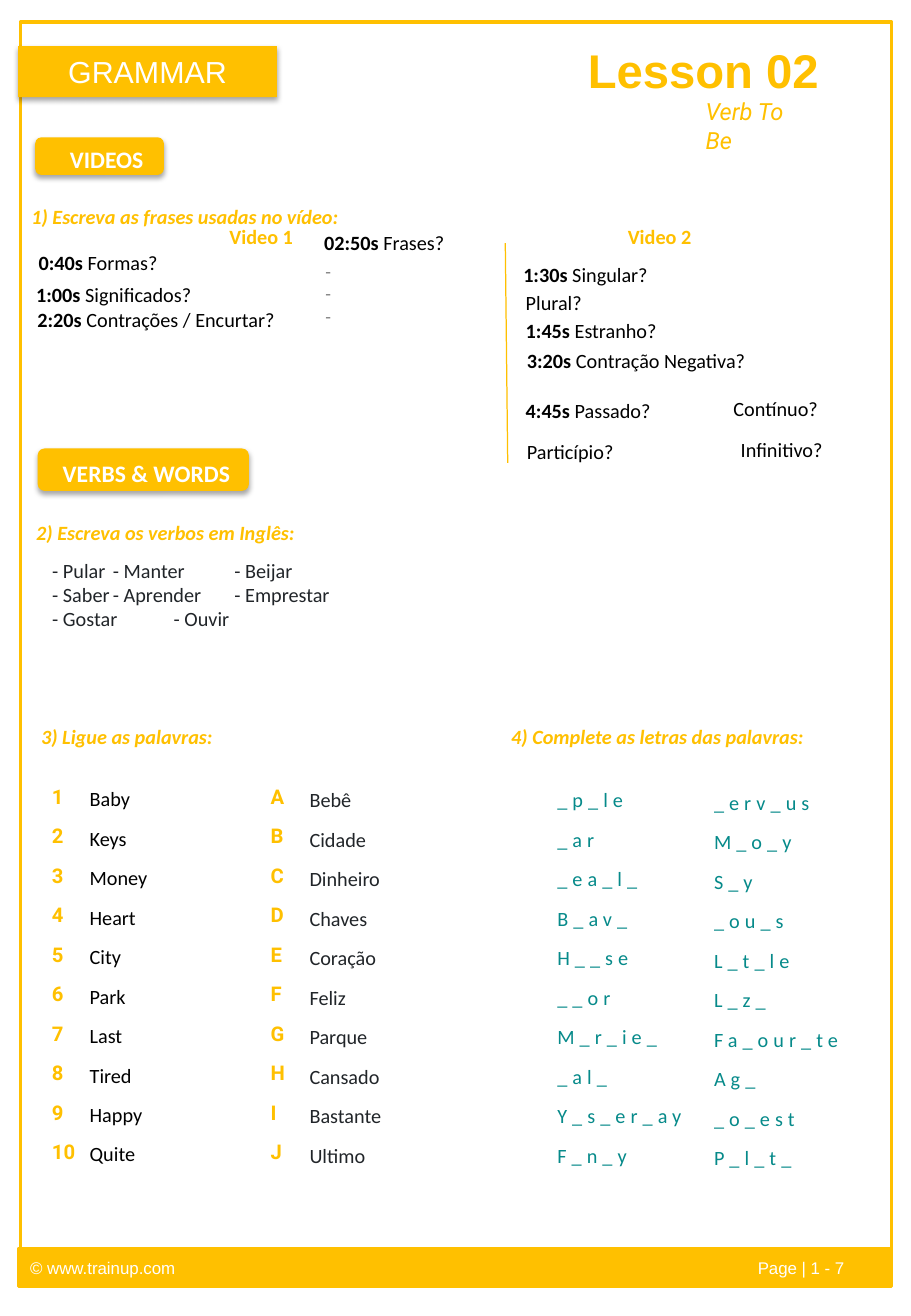
from dataclasses import dataclass, replace

from lxml.etree import SubElement
from pptx import Presentation
from pptx.dml.color import RGBColor
from pptx.enum.shapes import MSO_CONNECTOR as Connector, MSO_SHAPE as Shape
from pptx.enum.text import MSO_ANCHOR as Anchor, MSO_AUTO_SIZE as AutoSize, PP_ALIGN as Align
from pptx.oxml.ns import qn
from pptx.util import Inches, Pt


@dataclass(frozen=True)
class Style:
    font: str
    size: int
    colour: str
    bold: bool = False
    italic: bool = False
    tracking: int = 0


@dataclass(frozen=True)
class Theme:
    amber = "FFC000"
    title = Style("Arial", 28, amber, bold=True)
    subtitle = Style("Roboto", 14, amber, italic=True)
    banner = Style("Arial", 18, "FFFFFF")
    badge = Style("Calibri", 14, "FFFFFF", bold=True)
    exercise = Style("Calibri", 12, amber, bold=True, italic=True)
    video = Style("Calibri", 12, amber, bold=True)
    prompt = Style("Calibri", 12, "000000")
    dash = Style("Calibri", 11, "808080")
    word = Style("Calibri", 12, "212529")
    key = Style("Roboto", 12, amber, bold=True)
    gap = Style("Calibri", 12, "068A8A", tracking=3)
    footer = Style("Arial", 10, "FFFFFF")


@dataclass(frozen=True)
class Box:
    left: float
    top: float
    width: float
    height: float

    def inner(self, left, top, width, height):
        return Box(self.left + left, self.top + top, width, height)

    def lengths(self):
        return [Inches(n) for n in (self.left, self.top, self.width, self.height)]


THEME = Theme()


def colour(value):
    return RGBColor.from_string(value)


def format_run(run, style):
    font = run.font
    font.name, font.size = style.font, Pt(style.size)
    font.bold, font.italic = style.bold, style.italic
    font.color.rgb = colour(style.colour)
    if style.tracking:
        run._r.get_or_add_rPr().set("spc", str(style.tracking * 100))


def write(holder, lines, style, tabs=(), align=Align.LEFT, anchor=Anchor.TOP, spaced=False):
    frame = holder.text_frame
    frame.text = "\n".join(lines)
    frame.word_wrap, frame.auto_size = True, AutoSize.NONE
    frame.vertical_anchor = anchor
    for paragraph in frame.paragraphs:
        properties = paragraph._p.get_or_add_pPr()
        if tabs:
            stops = SubElement(properties, qn("a:tabLst"))
            for stop in tabs:
                SubElement(stops, qn("a:tab"), pos=str(Inches(stop)), algn="l")
        paragraph.alignment = align
        if spaced:
            paragraph.line_spacing, paragraph.space_after = 1.07, Pt(8)
        for run in paragraph.runs:
            format_run(run, style)
    return frame


def add_text(slide, box, lines, style, **options):
    return write(slide.shapes.add_textbox(*box.lengths()), lines, style, **options)


def add_panel(slide, box, kind=Shape.RECTANGLE, shadow=False):
    panel = slide.shapes.add_shape(kind, *box.lengths())
    panel.fill.solid()
    panel.fill.fore_color.rgb = colour(THEME.amber)
    panel.line.fill.background()
    panel.shadow.inherit = False
    if shadow:
        effects = panel._element.spPr.find(qn("a:effectLst"))
        outer = SubElement(effects, qn("a:outerShdw"), blurRad=str(Pt(3.1)), dist=str(Pt(1.8)),
                           dir="5400000", algn="t", rotWithShape="0")
        black = SubElement(outer, qn("a:srgbClr"), val="000000")
        SubElement(black, qn("a:alpha"), val="35000")
    return panel


def outline(shape):
    shape.line.color.rgb = colour(THEME.amber)
    shape.line.width = Pt(2)


def add_badge(slide, box, label, inset):
    badge = add_panel(slide, box, Shape.ROUNDED_RECTANGLE, shadow=True)
    frame = write(badge, [label], THEME.badge, anchor=Anchor.MIDDLE)
    frame.margin_left, frame.margin_right = Inches(inset), 0
    frame.margin_top, frame.margin_bottom = Inches(0.05), 0


def page_frame(slide, box):
    border = add_panel(slide, box)
    border.fill.background()
    outline(border)


def header(slide, box):
    banner = add_panel(slide, box.inner(0, 0.09, 2.13, 0.42), shadow=True)
    write(banner, ["GRAMMAR"], THEME.banner, align=Align.CENTER, anchor=Anchor.MIDDLE)
    title = slide.shapes.title
    title.left, title.top, title.width, title.height = box.inner(4.59, 0, 2.23, 0.57).lengths()
    write(title, ["Lesson 02"], THEME.title)
    add_text(slide, box.inner(5.56, 0.46, 1.05, 0.55), ["Verb To Be"], THEME.subtitle)


def videos(slide, box):
    add_badge(slide, box.inner(0.13, 0, 1.06, 0.31), "VIDEOS", 0.27)
    add_text(slide, box.inner(0, 0.5, 6.3, 0.3), ["1) Escreva as frases usadas no vídeo:"], THEME.exercise)
    for name, left in (("Video 1", 1.63), ("Video 2", 4.91)):
        add_text(slide, box.inner(left, 0.67, 0.8, 0.3), [name], THEME.video)

    # Time marks and questions: left, top, width, time, question
    prompts = [
        (0.06, 0.88, 1.3, "0:40s", " Formas?"),
        (0.04, 1.14, 1.6, "1:00s", " Significados?"),
        (0.05, 1.35, 2.3, "2:20s", " Contrações / Encurtar?"),
        (2.41, 0.72, 1.3, "02:50s", " Frases?"),
        (4.05, 0.98, 1.4, "1:30s", " Singular?"),
        (4.07, 1.21, 0.8, "", "Plural?"),
        (4.07, 1.44, 1.4, "1:45s", " Estranho?"),
        (4.08, 1.69, 2.2, "3:20s", " Contração Negativa?"),
        (4.07, 2.1, 1.4, "4:45s", " Passado?"),
        (4.08, 2.44, 1.1, "", "Particípio?"),
        (5.78, 2.08, 1.1, "", "Contínuo?"),
        (5.84, 2.42, 1.1, "", "Infinitivo?"),
    ]
    for left, top, width, time, question in prompts:
        frame = add_text(slide, box.inner(left, top, width, 0.3), [time or question], THEME.prompt)
        if time:
            format_run(frame.paragraphs[0].runs[0], replace(THEME.prompt, bold=True))
            run = frame.paragraphs[0].add_run()
            run.text = question
            format_run(run, THEME.prompt)
    add_text(slide, box.inner(2.42, 0.96, 0.28, 0.66), ["-"] * 3, THEME.dash)

    # Divider between the two videos
    x, y = box.left + 4, box.top + 0.87
    divider = slide.shapes.add_connector(
        Connector.STRAIGHT, Inches(x), Inches(y), Inches(x + 0.02), Inches(y + 1.81))
    divider.line.color.rgb = colour(THEME.amber)
    divider.line.width = Pt(0.75)
    SubElement(divider._element.spPr, qn("a:effectLst"))


def verbs(slide, box):
    add_badge(slide, box.inner(0.11, 0, 1.74, 0.35), "VERBS & WORDS", 0.19)
    add_text(slide, box.inner(0, 0.54, 6.3, 0.3), ["2) Escreva os verbos em Inglês:"], THEME.exercise)
    rows = [("- Pular", "- Manter", "- Beijar"),
            ("- Saber", "- Aprender", "- Emprestar"),
            ("- Gostar", "- Ouvir")]
    body = slide.placeholders[1]
    body.left, body.top, body.width, body.height = box.inner(0.13, 0.85, 6.3, 0.71).lengths()
    frame = write(body, ["\t".join(row) for row in rows], THEME.word, tabs=(2.37, 4.48))
    for paragraph in frame.paragraphs:
        paragraph.space_before = Pt(0)
        properties = paragraph._p.pPr
        properties.set("marL", "0")
        properties.set("indent", "0")
        properties.find(qn("a:tabLst")).addprevious(SubElement(properties, qn("a:buNone")))


def words(slide, box):
    headings = ["3) Ligue as palavras:", "4) Complete as letras das palavras:"]
    add_text(slide, box.inner(0, 0, 7.02, 0.3), ["\t".join(headings)], THEME.exercise, tabs=(3.87,))

    # Columns: left, top, width, style, entries
    columns = [
        (0.09, 0.48, 0.56, THEME.key, "1 2 3 4 5 6 7 8 9 10"),
        (0.4, 0.5, 1.06, THEME.prompt, "Baby Keys Money Heart City Park Last Tired Happy Quite"),
        (1.89, 0.48, 0.41, THEME.key, "A B C D E F G H I J"),
        (2.21, 0.51, 1.01, THEME.word,
         "Bebê Cidade Dinheiro Chaves Coração Feliz Parque Cansado Bastante Ultimo"),
        (4.25, 0.51, 1.42, THEME.gap, "_p_le _ar _ea_l_ B_av_ H__se __or M_r_ie_ _al_ Y_s_er_ay F_n_y"),
        (5.54, 0.53, 1.42, THEME.gap, "_erv_us M_o_y S_y _ou_s L_t_le L_z_ Fa_our_te Ag_ _o_est P_l_t_"),
    ]
    for left, top, width, style, entries in columns:
        add_text(slide, box.inner(left, top, width, 3.4), entries.split(), style, spaced=True)


def footer(slide, box):
    bar = add_panel(slide, box)
    outline(bar)
    write(bar, ["© www.trainup.com\tPage | 1 - 7"], THEME.footer, tabs=(5.99,), anchor=Anchor.MIDDLE)


def main():
    deck = Presentation()
    deck.slide_width, deck.slide_height = Inches(7.5), Inches(10.83)
    slide = deck.slides.add_slide(deck.slide_layouts[1])
    footer(slide, Box(0.15, 10.28, 7.19, 0.31))
    page_frame(slide, Box(0.17, 0.18, 7.17, 10.39))
    header(slide, Box(0.15, 0.29, 7.19, 0.8))
    videos(slide, Box(0.16, 1.13, 7.1, 2.7))
    verbs(slide, Box(0.2, 3.69, 7, 1.6))
    words(slide, Box(0.24, 5.91, 7.02, 4.1))
    deck.save("out.pptx")


if __name__ == "__main__":
    main()
